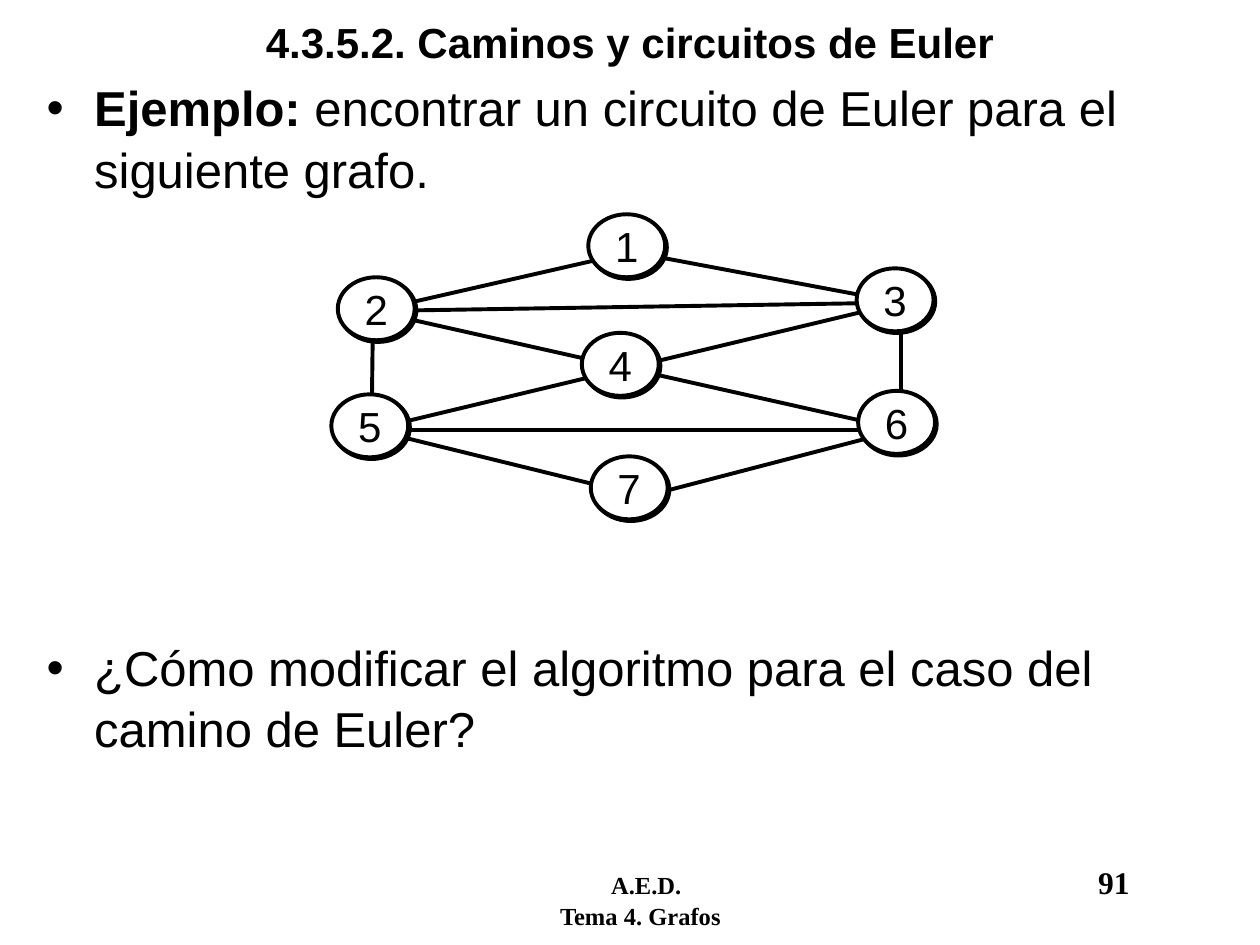
import pptx
import pptx.util
import pptx.dml.color
import pptx.enum.shapes
import pptx.enum.text
import pptx.oxml.ns
import lxml.etree

Cm = pptx.util.Cm
Pt = pptx.util.Pt
BLACK = pptx.dml.color.RGBColor(0, 0, 0)
WHITE = pptx.dml.color.RGBColor(255, 255, 255)
ALIGN = pptx.enum.text.PP_ALIGN
MIDDLE = pptx.enum.text.MSO_ANCHOR.MIDDLE

NODE_W, NODE_H = 1.55, 1.27
NODES = {
    1: (5.18, 0), 2: (0.13, 1.27), 3: (10.59, 1.09), 4: (5.05, 2.39),
    5: (0, 3.63), 6: (10.62, 3.56), 7: (5.23, 4.88),
}
JOINTS = {
    1: (6.05, 0.76), 2: (0.84, 1.95), 3: (11.48, 1.78),
    5: (0.81, 4.34), 6: (11.48, 4.34), 7: (6.3, 5.69),
}
EDGES = [(5, 7), (7, 6), (5, 2), (2, 1), (1, 3),
         (3, 6), (6, 5), (5, 3), (6, 2), (2, 3)]


def add_tag(node, tag, **attrs):
    child = lxml.etree.SubElement(node, pptx.oxml.ns.qn(tag))
    for name, value in attrs.items():
        child.set(name, str(value))
    return child


def set_font(run, face, size, bold=False):
    run.font.name = face
    run.font.size = Pt(size)
    run.font.bold = bold
    run.font.color.rgb = BLACK


def add_run(para, text, face, size, bold=False):
    run = para.add_run()
    run.text = text
    set_font(run, face, size, bold)


def add_title(slide, left, top, width, height):
    title = slide.shapes.title
    title.left, title.top = Cm(left), Cm(top)
    title.width, title.height = Cm(width), Cm(height)
    frame = title.text_frame
    frame.text = "4.3.5.2. Caminos y circuitos de Euler"
    frame.vertical_anchor = MIDDLE
    para = frame.paragraphs[0]
    para.alignment = ALIGN.CENTER
    para.line_spacing = 0.9
    set_font(para.runs[0], "Arial", 24, True)


def add_box(slide, left, top, width, height):
    box = slide.shapes.add_textbox(Cm(left), Cm(top), Cm(width), Cm(height))
    box.text_frame.word_wrap = True
    return box.text_frame


def add_body(slide, left, top, width, height):
    frame = add_box(slide, left, top, width, height)
    first, last = frame.paragraphs[0], frame.add_paragraph()
    last.space_before = Pt(250)
    for para in (first, last):
        para.line_spacing = 1.04
        props = para._p.get_or_add_pPr()
        props.set("marL", str(Cm(0.96)))
        props.set("indent", str(Cm(-0.96)))
        add_tag(props, "a:buFont", typeface="Arial")
        add_tag(props, "a:buChar", char="•")
    add_run(first, "Ejemplo:", "Arial", 28, True)
    add_run(first, " encontrar un circuito de Euler para el siguiente grafo.",
            "Arial", 28)
    add_run(last, "¿Cómo modificar el algoritmo para el caso del camino de Euler?",
            "Arial", 28)


def add_edge(group, start, end):
    line = group.shapes.add_connector(
        pptx.enum.shapes.MSO_CONNECTOR.STRAIGHT, *start, *end)
    line.line.color.rgb = BLACK
    line.line.width = Pt(2.25)
    add_tag(line._element.spPr, "a:effectLst")


def add_node(group, label, left, top):
    node = group.shapes.add_shape(
        pptx.enum.shapes.MSO_SHAPE.OVAL, left, top, Cm(NODE_W), Cm(NODE_H))
    node.fill.solid()
    node.fill.fore_color.rgb = WHITE
    node.line.color.rgb = BLACK
    node.line.width = Pt(2.25)
    effects = add_tag(node._element.spPr, "a:effectLst")
    shade = add_tag(effects, "a:outerShdw", dist=Pt(1.4), dir=45 * 60000,
                    algn="ctr", rotWithShape=0)
    add_tag(shade, "a:srgbClr", val=BLACK)
    frame = node.text_frame
    frame.word_wrap = False
    frame.vertical_anchor = MIDDLE
    frame.text = str(label)
    frame.paragraphs[0].alignment = ALIGN.CENTER
    set_font(frame.paragraphs[0].runs[0], "Arial", 24)


def add_graph(slide, left, top):
    group = slide.shapes.add_group_shape()

    def place(point):
        return Cm(left + point[0]), Cm(top + point[1])

    for start, end in EDGES:
        add_edge(group, place(JOINTS[start]), place(JOINTS[end]))
    for label, point in NODES.items():
        add_node(group, label, *place(point))


def add_footer(slide, left, top, width, height):
    frame = add_box(slide, left, top, width, height)
    first, last = frame.paragraphs[0], frame.add_paragraph()
    tabs = add_tag(first._p.get_or_add_pPr(), "a:tabLst")
    for stop in (2.87, 12.69):
        add_tag(tabs, "a:tab", pos=Cm(stop), algn="l")
    last._p.get_or_add_pPr().set("marL", str(Cm(1.84)))
    add_run(first, "\tA.E.D.\t", "Times New Roman", 14, True)
    add_run(first, "91", "Times New Roman", 18, True)
    add_run(last, "Tema 4. Grafos", "Times New Roman", 14, True)


def main():
    deck = pptx.Presentation()
    deck.slide_width, deck.slide_height = Cm(25.4), Cm(19.05)
    slide = deck.slides.add_slide(deck.slide_layouts[5])
    add_footer(slide, 9.2, 17.27, 14.73, 1.27)
    add_title(slide, 0, 0, 25.4, 1.8)
    add_body(slide, 0.69, 1.4, 24.05, 15.29)
    add_graph(slide, 6.68, 4.32)
    deck.save("out.pptx")


if __name__ == "__main__":
    main()
